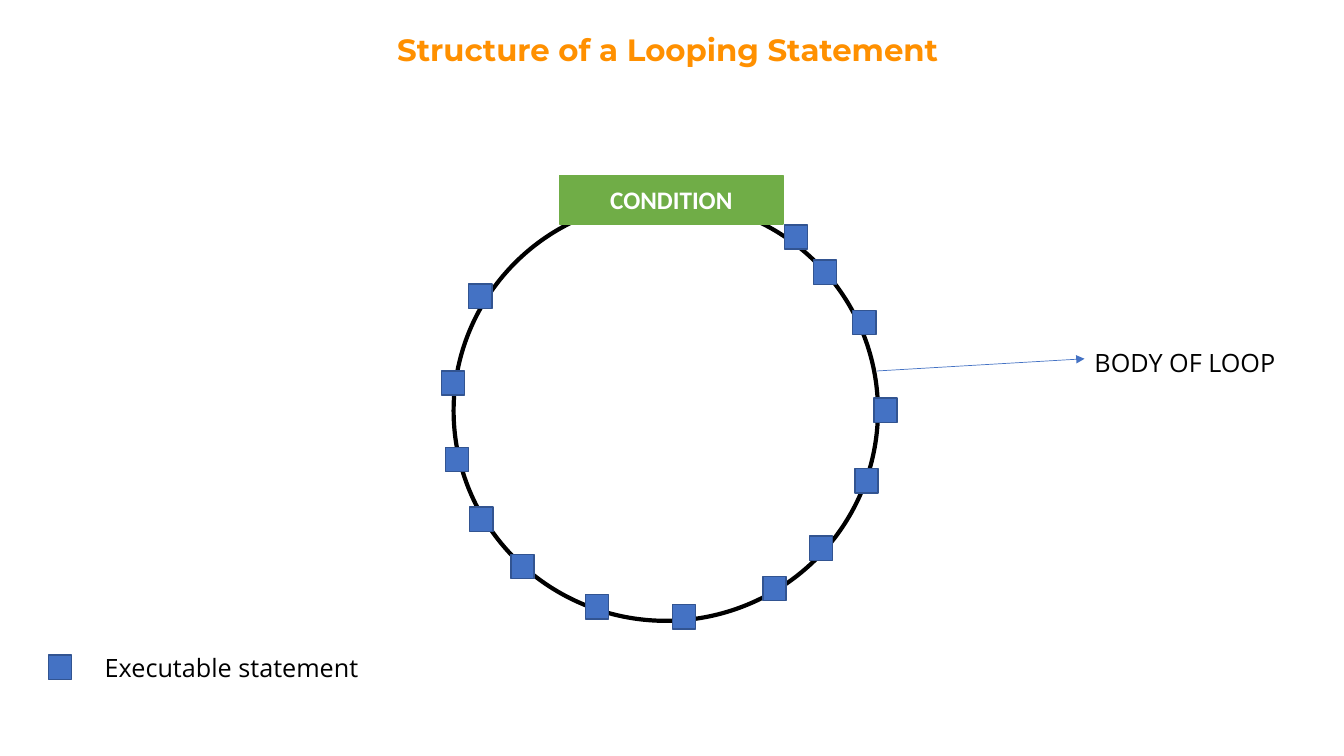
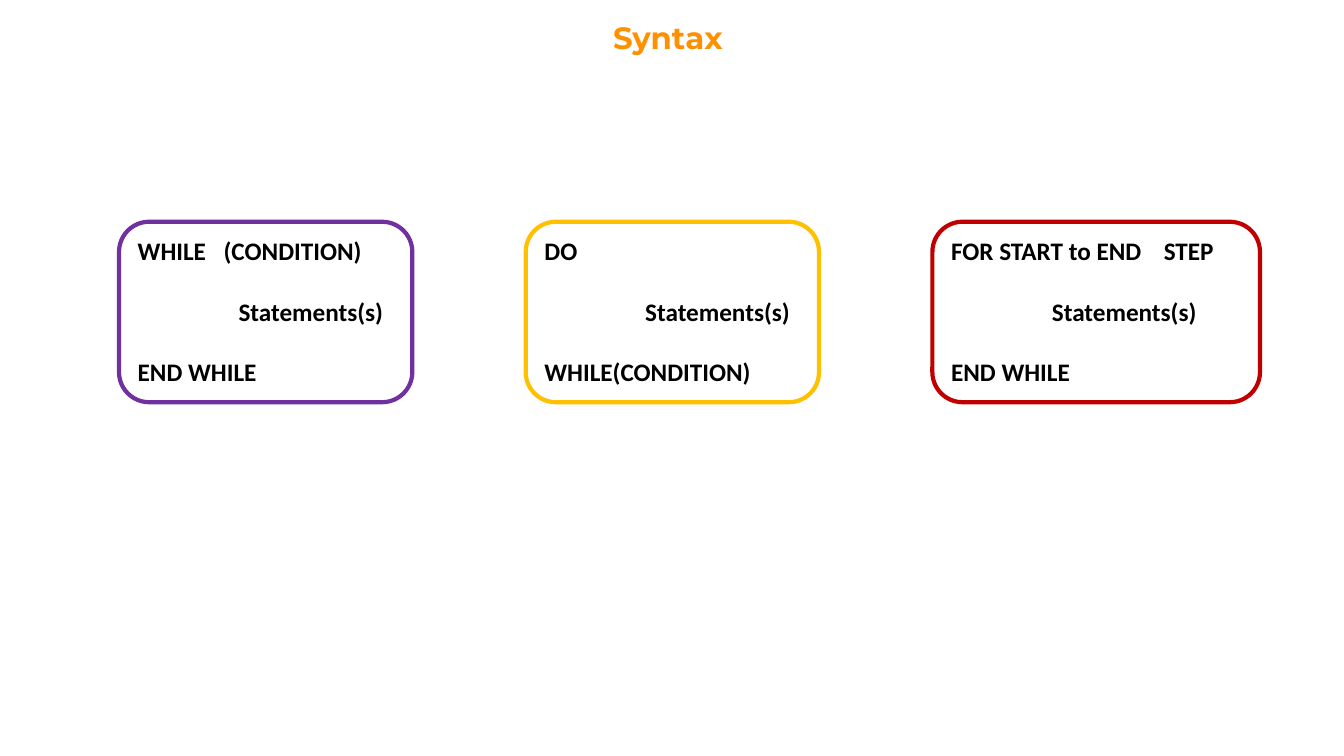
from lxml import etree
from pptx import Presentation
from pptx.dml.color import RGBColor
from pptx.enum.shapes import MSO_CONNECTOR, MSO_SHAPE
from pptx.enum.text import MSO_ANCHOR, MSO_AUTO_SIZE, PP_ALIGN
from pptx.oxml.ns import qn
from pptx.util import Pt

LEFT, CENTER = PP_ALIGN.LEFT, PP_ALIGN.CENTER
TOP, MIDDLE = MSO_ANCHOR.TOP, MSO_ANCHOR.MIDDLE
NO_AUTOFIT = MSO_AUTO_SIZE.NONE
RECTANGLE, OVAL = MSO_SHAPE.RECTANGLE, MSO_SHAPE.OVAL
ROUNDED = MSO_SHAPE.ROUNDED_RECTANGLE
STRAIGHT = MSO_CONNECTOR.STRAIGHT

ORANGE, WHITE, BLACK = "FF9000", "FFFFFF", "000000"
GREEN, BLUE, DARK_BLUE = "70AD47", "4472C4", "325491"
PURPLE, GOLD, RED = "7030A0", "FFC000", "C00000"

TITLE_FONT = dict(name="Montserrat", size=Pt(22), bold=True)
CODE_FONT = dict(name="Calibri", size=Pt(18), bold=True)
LABEL_FONT = dict(name="Open Sans", size=Pt(18), bold=False)

STRUCTURE_TITLE = ("Structure of a Looping Statement", 18)
RING = (324, 143.3, 303.1, 300.2)
CONDITION = ("CONDITION", (399.6, 125.3, 159.8, 34.6))
STATEMENT_SIZE = (16.6, 17.3)
STATEMENT_POSITIONS = [
    (560.2, 160.6), (581, 185.8), (609.1, 221.8), (624.2, 284.4),
    (610.6, 334.8), (578.2, 383), (545, 411.8), (480.2, 432),
    (418.3, 424.8), (365, 396), (335.5, 362.2), (318.2, 319.7),
    (315.4, 265), (334.8, 203),
]
LEGEND_POSITION = (34.6, 468)
LABELS = [
    ("Executable statement", (67.7, 462.2, 206, 28.8)),
    ("BODY OF LOOP", (774.7, 244.8, 153, 28.8)),
]
BODY_ARROW = (626.4, 265, 774.7, 256.3)

SYNTAX_TITLE = ("Syntax", 9.4)
LOOPS = [
    (PURPLE, 209.5, 61.4, ["WHILE\t(CONDITION)", "Statements(s)", "END WHILE"]),
    (GOLD, 209.5, None, ["DO", "Statements(s)", "WHILE(CONDITION)"]),
    (RED, 234, 152, ["FOR START to END\tSTEP", "Statements(s)", "END WHILE"]),
]
LOOP_LEFT, LOOP_PITCH, LOOP_TOP, LOOP_HEIGHT = 85, 290.5, 158.4, 128.9
BODY_INDENT, LINE_GAP = 72, 21.5


def rgb(color):
    return RGBColor.from_string(color)


def points(values):
    return [Pt(value) for value in values]


def write(frame, lines, font, color, align=LEFT, anchor=TOP):
    settings = dict(word_wrap=True, auto_size=NO_AUTOFIT, vertical_anchor=anchor)
    for key, value in settings.items():
        setattr(frame, key, value)
    for index, line in enumerate(lines):
        paragraph = frame.paragraphs[0] if index == 0 else frame.add_paragraph()
        paragraph.alignment = align
        run = paragraph.add_run()
        run.text = line
        for key, value in font.items():
            setattr(run.font, key, value)
        run.font.color.rgb = rgb(color)


def new_slide(prs, heading):
    text, top = heading
    slide = prs.slides.add_slide(prs.slide_layouts[5])
    title = slide.shapes.title
    title.left, title.top, title.width, title.height = points((0, top, 954, 33.8))
    write(title.text_frame, [text], TITLE_FONT, ORANGE, CENTER)
    return slide


def add_box(slide, kind, box, fill, line, line_width):
    shape = slide.shapes.add_shape(kind, *points(box))
    shape.shadow.inherit = False
    if fill:
        shape.fill.solid()
        shape.fill.fore_color.rgb = rgb(fill)
    else:
        shape.fill.background()
    shape.line.color.rgb = rgb(line)
    shape.line.width = Pt(line_width)
    return shape


def add_arrow(slide, ends, color, width):
    arrow = slide.shapes.add_connector(STRAIGHT, *points(ends))
    arrow.line.color.rgb = rgb(color)
    arrow.line.width = Pt(width)
    etree.SubElement(arrow.line._get_or_add_ln(), qn("a:tailEnd"), type="triangle")
    etree.SubElement(arrow._element.spPr, qn("a:effectLst"))


def add_tab_stop(paragraph, position):
    stops = etree.SubElement(paragraph._p.get_or_add_pPr(), qn("a:tabLst"))
    etree.SubElement(stops, qn("a:tab"), pos=str(Pt(position)), algn="l")


def build_structure(prs):
    slide = new_slide(prs, STRUCTURE_TITLE)
    add_box(slide, OVAL, RING, WHITE, BLACK, 3)
    text, box = CONDITION
    condition = add_box(slide, RECTANGLE, box, GREEN, GREEN, 1)
    write(condition.text_frame, [text], CODE_FONT, WHITE, CENTER, MIDDLE)
    for position in STATEMENT_POSITIONS + [LEGEND_POSITION]:
        add_box(slide, RECTANGLE, position + STATEMENT_SIZE, BLUE, DARK_BLUE, 1)
    add_arrow(slide, BODY_ARROW, BLUE, 0.5)
    for text, box in LABELS:
        label = slide.shapes.add_textbox(*points(box))
        write(label.text_frame, [text], LABEL_FONT, BLACK)


def build_syntax(prs):
    slide = new_slide(prs, SYNTAX_TITLE)
    for column, (color, width, tab, lines) in enumerate(LOOPS):
        box = (LOOP_LEFT + column * LOOP_PITCH, LOOP_TOP, width, LOOP_HEIGHT)
        loop = add_box(slide, ROUNDED, box, None, color, 3)
        write(loop.text_frame, lines, CODE_FONT, BLACK)
        opening, body, closing = loop.text_frame.paragraphs
        body.space_before = closing.space_before = Pt(LINE_GAP)
        body._p.get_or_add_pPr().set("marL", str(Pt(BODY_INDENT)))
        if tab:
            add_tab_stop(opening, tab)


def main():
    prs = Presentation()
    prs.slide_width, prs.slide_height = points((960, 540))
    build_structure(prs)
    build_syntax(prs)
    prs.save("out.pptx")


if __name__ == "__main__":
    main()
